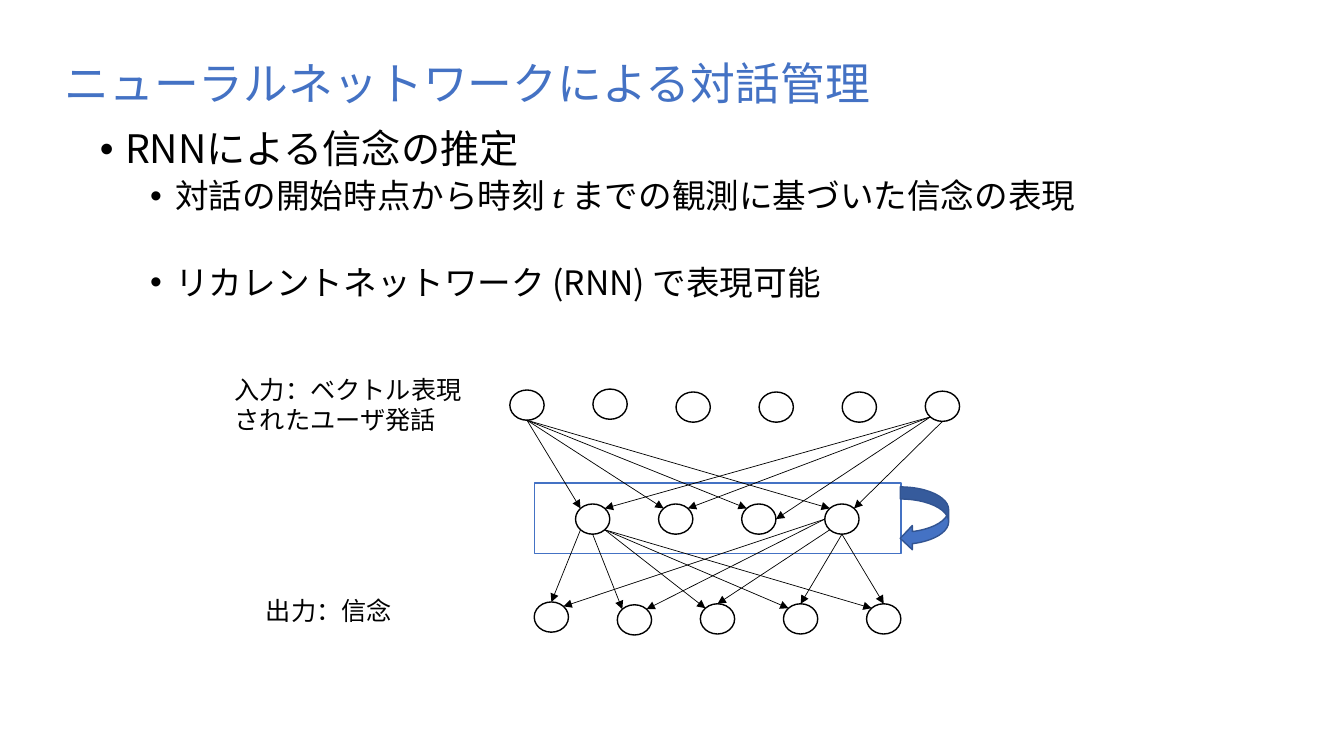
from lxml import etree
from pptx import Presentation
from pptx.dml.color import RGBColor
from pptx.enum.shapes import MSO_CONNECTOR, MSO_SHAPE
from pptx.enum.text import MSO_ANCHOR, MSO_AUTO_SIZE, PP_ALIGN
from pptx.oxml.ns import qn
from pptx.util import Pt

OVAL, RECT, LOOP = MSO_SHAPE.OVAL, MSO_SHAPE.RECTANGLE, MSO_SHAPE.CURVED_LEFT_ARROW
STRAIGHT = MSO_CONNECTOR.STRAIGHT
MIDDLE, TOP = MSO_ANCHOR.MIDDLE, MSO_ANCHOR.TOP
LEFT = PP_ALIGN.LEFT
NO_FIT, GROW = MSO_AUTO_SIZE.NONE, MSO_AUTO_SIZE.SHAPE_TO_FIT_TEXT

BLACK, BLUE, DARK_BLUE = "000000", "4472C4", "325491"
GOTHIC, LATIN, MATH = "Noto Sans CJK JP", "Calibri", "Cambria"

# Content
TITLE = "ニューラルネットワークによる対話管理"
# level, size, space before, [(text, font, italic)]
BULLETS = [
    (0, 28, 0, [("RNNによる信念の推定", GOTHIC, False)]),
    (1, 24, 5, [("対話の開始時点から時刻 ", GOTHIC, False), ("t ", MATH, True),
                ("までの観測に基づいた信念の表現", GOTHIC, False)]),
    (1, 24, 36, [("リカレントネットワーク (RNN) で表現可能", GOTHIC, False)]),
]
# box, lines
LABELS = [
    ((160.6, 263.5, 177.8, 51), ["入力：ベクトル表現", "されたユーザ発話"]),
    ((182.9, 421.9, 105.1, 29), ["出力：信念"]),
]
# layer: left of first node, top of each node
LAYERS = {
    "input": (364.2, [278.6, 277.9, 280, 280, 280, 279.4]),
    "hidden": (411.1, [360, 360, 360, 360]),
    "output": (381.6, [430, 432, 431.3, 431.3, 431.3]),
}
NODE_W, NODE_H, PITCH = 24.5, 21.6, 59.35
# from layer, node, side; to layer, nodes, side
FANS = [
    ("input", 0, "bottom", "hidden", [0, 1, 2, 3], "top left"),
    ("input", 5, "bottom", "hidden", [3], "top right"),
    ("input", 5, "bottom left", "hidden", [2], "right"),
    ("input", 5, "bottom left", "hidden", [0, 1], "top right"),
    ("hidden", 0, "bottom left", "output", [0], "top"),
    ("hidden", 0, "bottom", "output", [1], "top left"),
    ("hidden", 0, "bottom right", "output", [2, 3, 4], "top left"),
    ("hidden", 3, "left", "output", [0, 1], "top right"),
    ("hidden", 3, "bottom left", "output", [2], "top"),
    ("hidden", 3, "bottom", "output", [3, 4], "top"),
]


def rgb(color):
    return RGBColor.from_string(color)


def place(shape, left, top, width, height):
    shape.left, shape.top = Pt(left), Pt(top)
    shape.width, shape.height = Pt(width), Pt(height)


def style(r, font, size, color=BLACK, italic=False):
    r.font.name, r.font.size, r.font.italic = font, Pt(size), italic
    r.font.color.rgb = rgb(color)
    etree.SubElement(r.font._element, qn("a:ea"), typeface=font)


def add_outline(kind, box, color, fill=None):
    sp = s.shapes.add_shape(kind, *map(Pt, box))
    sp.shadow.inherit = False
    if fill:
        sp.fill.solid()
        sp.fill.fore_color.rgb = rgb(fill)
    else:
        sp.fill.background()
    sp.line.color.rgb, sp.line.width = rgb(color), Pt(1)


def node_box(layer, i):
    left, tops = LAYERS[layer]
    return left + i * PITCH, tops[i], NODE_W, NODE_H


def node_point(layer, i, side):
    """Point on the node's rim; two-word sides lie on the diagonal."""
    left, top, width, height = node_box(layer, i)
    words = side.split()
    reach = 0.5 if len(words) == 1 else 0.354
    dx = ("right" in words) - ("left" in words)
    dy = ("bottom" in words) - ("top" in words)
    return Pt(left + width * (0.5 + reach * dx)), Pt(top + height * (0.5 + reach * dy))


def add_arrow(start, end):
    line = s.shapes.add_connector(STRAIGHT, *start, *end)
    line.line.color.rgb, line.line.width = rgb(BLACK), Pt(0.5)
    etree.SubElement(line.line._get_or_add_ln(), qn("a:tailEnd"), type="triangle")
    etree.SubElement(line._element.spPr, qn("a:effectLst"))


prs = Presentation()
prs.slide_width, prs.slide_height = Pt(960), Pt(540)
s = prs.slides.add_slide(prs.slide_layouts[1])

# Title
title, body = s.shapes.title, s.placeholders[1]
place(title, 38.9, 31, 620.6, 60.5)
tf = title.text_frame
tf.text = TITLE
tf.vertical_anchor, tf.auto_size = MIDDLE, NO_FIT
p = tf.paragraphs[0]
p.alignment, p.line_spacing = LEFT, 0.9
style(p.runs[0], GOTHIC, 32, BLUE)

# Bullets
place(body, 64.1, 89.3, 722.9, 360)
tf = body.text_frame
tf.vertical_anchor, tf.auto_size = TOP, NO_FIT
for i, (level, size, before, runs) in enumerate(BULLETS):
    p = tf.paragraphs[0] if i == 0 else tf.add_paragraph()
    p.level, p.line_spacing, p.space_before = level, 0.9, Pt(before)
    pPr = p._p.get_or_add_pPr()
    pPr.set("marL", str(Pt(18 + 36 * level)))
    pPr.set("indent", str(Pt(-18)))
    etree.SubElement(pPr, qn("a:buFont"), typeface="Arial")
    etree.SubElement(pPr, qn("a:buChar"), char="•")
    for text, font, italic in runs:
        r = p.add_run()
        r.text = text
        style(r, font, size, italic=italic)

# Layer labels
for box, lines in LABELS:
    tf = s.shapes.add_textbox(*map(Pt, box)).text_frame
    tf.text = "\n".join(lines)
    tf.word_wrap, tf.auto_size = False, GROW
    for p in tf.paragraphs:
        style(p.runs[0], LATIN, 18)

# Network nodes and the recurrent layer
for layer, (_, tops) in LAYERS.items():
    for i in range(len(tops)):
        add_outline(OVAL, node_box(layer, i), BLACK)
add_outline(RECT, (381.6, 344.9, 262.1, 50.4), BLUE)

# Connections between layers
for layer, i, side, next_layer, targets, next_side in FANS:
    for target in targets:
        add_arrow(node_point(layer, i, side), node_point(next_layer, target, next_side))

# Feedback loop
add_outline(LOOP, (643, 347.8, 34.6, 45.4), DARK_BLUE, BLUE)

prs.save("out.pptx")
